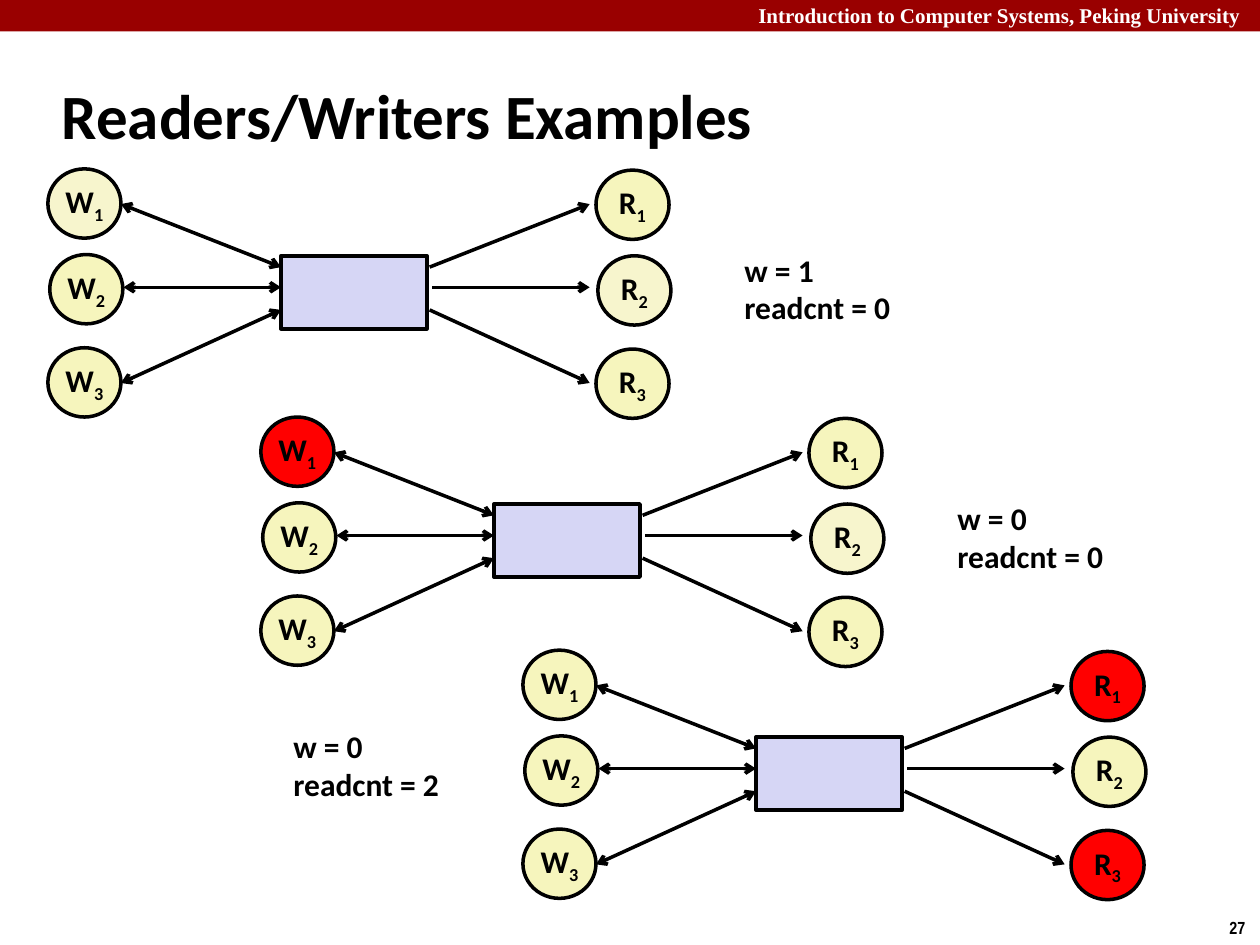
from pptx import Presentation
from pptx.dml.color import RGBColor
from pptx.enum.shapes import MSO_CONNECTOR, MSO_SHAPE
from pptx.enum.text import MSO_ANCHOR, MSO_AUTO_SIZE, PP_ALIGN
from pptx.util import Inches, Pt
from lxml import etree

RECT, OVAL, LINE = MSO_SHAPE.RECTANGLE, MSO_SHAPE.OVAL, MSO_CONNECTOR.STRAIGHT
MIDDLE, LEFT, CENTER = MSO_ANCHOR.MIDDLE, PP_ALIGN.LEFT, PP_ALIGN.CENTER
NO_FIT, GROW = MSO_AUTO_SIZE.NONE, MSO_AUTO_SIZE.SHAPE_TO_FIT_TEXT
A = "http://schemas.openxmlformats.org/drawingml/2006/main"

THEME = {
    "bar": "990000", "buffer": "D6D6F5", "ink": "000000", "line_width": 2,
    "idle": "F6F5BD", "pale": "F7F5CD", "active": "FF0000",
    "title": {"name": "Calibri", "size": 36, "bold": True, "color": "000000"},
    "body": {"name": "Calibri", "size": 18, "bold": True, "color": "000000"},
    "header": {"name": "Times New Roman", "size": 12, "bold": True, "color": "FFFFFF"},
    "number": {"name": "Arial Narrow", "size": 10, "bold": True, "color": "000000"},
}

TITLE = "Readers/Writers Examples"
HEADER = "Introduction to Computer Systems, Peking University"
PAGE = "27"
EXAMPLES = [
    {"origin": (0.38, 1.34), "state": ["w = 1", "readcnt = 0"], "state_at": (5.81, 1.94),
     "fills": {"W1": "pale", "R2": "pale"}},
    {"origin": (2.07, 3.31), "state": ["w = 0", "readcnt = 0"], "state_at": (7.5, 3.91),
     "fills": {"W1": "active", "R2": "pale"}},
    {"origin": (4.15, 5.16), "state": ["w = 0", "readcnt = 2"], "state_at": (2.23, 5.72),
     "fills": {"R1": "active", "R3": "active"}},
]

NODE_SIZE = (0.58, 0.55)
BUFFER_BOX = (1.85, 0.69, 1.16, 0.58)
ROWS = [
    {"node": (0, 0), "outer": 0.28, "inner": 0.78},
    {"node": (0.015, 0.68), "outer": 0.94, "inner": 0.94},
    {"node": (0, 1.42), "outer": 1.7, "inner": 1.12},
]
MIDDLE_ROW_SHIFT = 0.02
READER_OFFSET = (4.35, 0.01)
WRITER_ENDS = (0.58, 1.85)
READER_ENDS = (4.3, 3.03)


def style(font, spec_name):
    for key, value in THEME[spec_name].items():
        if key == "color":
            font.color.rgb = RGBColor.from_string(value)
        else:
            setattr(font, key, Pt(value) if key == "size" else value)


def write(tf, lines, kind, **settings):
    for key, value in settings.items():
        setattr(tf, key, value)
    for i, line in enumerate(lines):
        p = tf.paragraphs[0] if i == 0 else tf.add_paragraph()
        r = p.add_run()
        r.text = line
        style(r.font, kind)


def add_text(s, box, lines, kind, wrap=False):
    sp = s.shapes.add_textbox(*map(Inches, box))
    write(sp.text_frame, lines, kind, word_wrap=wrap, auto_size=GROW)


def add_box(s, shape, box, fill, outlined=True):
    sp = s.shapes.add_shape(shape, *map(Inches, box))
    sp.shadow.inherit = False
    sp.fill.solid()
    sp.fill.fore_color.rgb = RGBColor.from_string(fill)
    if outlined:
        sp.line.color.rgb = RGBColor.from_string(THEME["ink"])
        sp.line.width = Pt(THEME["line_width"])
    else:
        sp.line.fill.background()
    return sp


def add_node(s, x, y, letter, number, fill):
    sp = add_box(s, OVAL, (x, y, *NODE_SIZE), THEME[fill])
    tf = sp.text_frame
    write(tf, [letter], "body", word_wrap=False, vertical_anchor=MIDDLE,
          margin_top=0, margin_bottom=0)
    p = tf.paragraphs[0]
    p.alignment = CENTER
    r = p.add_run()
    r.text = str(number)
    style(r.font, "body")
    r.font._element.set("baseline", "-25000")


def add_arrow(s, start, end, ends):
    c = s.shapes.add_connector(LINE, *map(Inches, (*start, *end)))
    c.line.color.rgb = RGBColor.from_string(THEME["ink"])
    c.line.width = Pt(THEME["line_width"])
    ln = c.line._get_or_add_ln()
    for name in ends:
        etree.SubElement(ln, f"{{{A}}}{name}", type="arrow")
    etree.SubElement(c._element.spPr, f"{{{A}}}effectLst")


def add_example(s, example):
    x, y = example["origin"]
    left, top, width, height = BUFFER_BOX
    add_box(s, RECT, (x + left, y + top, width, height), THEME["buffer"])
    sides = [
        ("W", (0, 0), WRITER_ENDS, (MIDDLE_ROW_SHIFT, 0), ("headEnd", "tailEnd")),
        ("R", READER_OFFSET, READER_ENDS, (0, MIDDLE_ROW_SHIFT), ("headEnd",)),
    ]
    for letter, (dx, dy), (outer_x, inner_x), shifts, ends in sides:
        for number, row in enumerate(ROWS, 1):
            nx, ny = row["node"]
            fill = example["fills"].get(f"{letter}{number}", "idle")
            add_node(s, x + dx + nx, y + dy + ny, letter, number, fill)
            outer_shift, inner_shift = shifts if number == 2 else (0, 0)
            add_arrow(s, (x + outer_x + outer_shift, y + row["outer"]),
                      (x + inner_x + inner_shift, y + row["inner"]), ends)
    add_text(s, (*example["state_at"], 1.38, 0.71), example["state"], "body")


def main():
    prs = Presentation()
    prs.slide_width, prs.slide_height = Inches(10), Inches(7.5)
    s = prs.slides.add_slide(prs.slide_layouts[5])

    add_box(s, RECT, (0, 0, 10, 0.25), THEME["bar"], outlined=False)
    add_text(s, (5.92, -0.03, 4.15, 0.3), [HEADER], "header", wrap=True)
    add_text(s, (9.66, 7.23, 0.34, 0.27), [PAGE], "number")

    title = s.shapes.title
    for key, value in zip(("left", "top", "width", "height"), (0.39, 0.49, 8.3, 0.83)):
        setattr(title, key, Inches(value))
    write(title.text_frame, [TITLE], "title", vertical_anchor=MIDDLE, auto_size=NO_FIT)
    title.text_frame.paragraphs[0].alignment = LEFT

    for example in EXAMPLES:
        add_example(s, example)
    prs.save("out.pptx")


if __name__ == "__main__":
    main()
